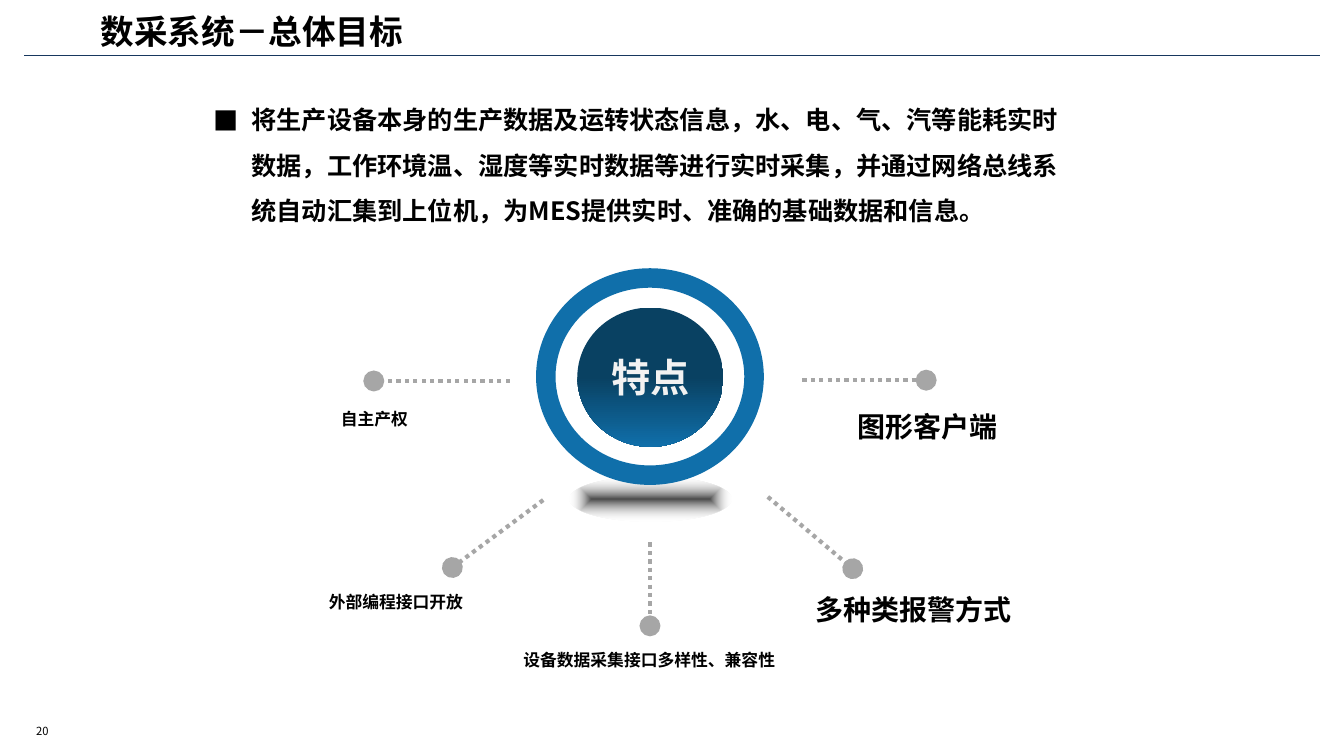
from lxml import etree
from pptx import Presentation
from pptx.dml.color import RGBColor
from pptx.enum.dml import MSO_LINE
from pptx.enum.shapes import MSO_CONNECTOR, MSO_SHAPE
from pptx.enum.text import MSO_ANCHOR, MSO_AUTO_SIZE, PP_ALIGN
from pptx.oxml.ns import qn
from pptx.util import Cm, Pt

STRAIGHT, DOTTED = MSO_CONNECTOR.STRAIGHT, MSO_LINE.ROUND_DOT
OVAL, DONUT = MSO_SHAPE.OVAL, MSO_SHAPE.DONUT
LEFT, CENTER = PP_ALIGN.LEFT, PP_ALIGN.CENTER
TOP, MIDDLE = MSO_ANCHOR.TOP, MSO_ANCHOR.MIDDLE
GROW, FIXED = MSO_AUTO_SIZE.SHAPE_TO_FIT_TEXT, MSO_AUTO_SIZE.NONE
NOTO, CALIBRI = "Noto Sans CJK SC", "Calibri"
COLORS = {"text": "000000", "rule": "17375E", "spoke": "A6A6A6", "ring": "106FAA",
          "core": "094162", "core_text": "F2F2F2", "glow": "FFFFFF"}


def write(box, text, size, font=NOTO, color="text", bold=True, align=LEFT,
          spacing=1.0, anchor=TOP, wrap=True, fit=GROW):
    frame = box.text_frame
    frame_format = {"word_wrap": wrap, "auto_size": fit, "vertical_anchor": anchor}
    for name, value in frame_format.items():
        setattr(frame, name, value)
    para = frame.paragraphs[0]
    para.alignment, para.line_spacing = align, spacing
    span = para.add_run()
    span.text = text
    for name, value in {"name": font, "size": Pt(size), "bold": bold}.items():
        setattr(span.font, name, value)
    span.font.color.rgb = RGBColor.from_string(COLORS[color])
    east_asian = etree.SubElement(span.font._element, qn("a:ea"))
    east_asian.set("typeface", font)
    return para


def draw_line(start, end, color, width):
    line = page.shapes.add_connector(STRAIGHT, *map(Cm, start + end))
    line.line.color.rgb = RGBColor.from_string(COLORS[color])
    line.line.width = Pt(width)
    etree.SubElement(line._element.spPr, qn("a:effectLst"))
    return line


deck = Presentation()
deck.slide_width, deck.slide_height = Cm(33.87), Cm(19.05)
page = deck.slides.add_slide(deck.slide_layouts[6])

# Title, rule and page number
draw_line((0.61, 1.4), (33.27, 1.4), "rule", 1)
title = page.shapes.add_textbox(Cm(2.29), Cm(0.15), Cm(18.21), Cm(1.28))
write(title, "数采系统－总体目标", 24)
number = page.shapes.add_textbox(Cm(0.66), Cm(18.11), Cm(2.39), Cm(0.6))
write(number, "20", 8, bold=False, anchor=MIDDLE)

# Goal statement with a square bullet
goal = page.shapes.add_textbox(Cm(5.13), Cm(2.13), Cm(21.92), Cm(2.95))
para = write(goal, "将生产设备本身的生产数据及运转状态信息，水、电、气、汽等能耗实时数据，"
             "工作环境温、湿度等实时数据等进行实时采集，并通过网络总线系统自动汇集到上位机，"
             "为MES提供实时、准确的基础数据和信息。", 18, spacing=1.5, fit=FIXED)
properties = para._p.get_or_add_pPr()
properties.set("marL", str(Cm(0.96)))
properties.set("indent", str(Cm(-0.96)))
etree.SubElement(properties, qn("a:buFont")).set("typeface", NOTO)
etree.SubElement(properties, qn("a:buChar")).set("char", "■")

# Features: spoke start, spoke end, label left/top/width, text, size, font
FEATURES = [
    ((13.69, 12.6), (11.4, 14.3), (7.16, 14.63, 5.64), "外部编程接口开放", 12, NOTO),
    ((16.38, 13.67), (16.38, 15.77), (11.3, 16.1, 10.13),
     "设备数据采集接口多样性、兼容性", 12, NOTO),
    ((19.35, 12.52), (21.49, 14.33), (20.27, 14.55, 5.51), "多种类报警方式", 20, CALIBRI),
    ((20.22, 9.58), (23.34, 9.58), (21.34, 9.93, 4.06), "图形客户端", 20, CALIBRI),
    ((12.85, 9.6), (9.42, 9.6), (7.9, 10.03, 3.07), "自主产权", 12, NOTO),
]
for start, end, place, text, size, font in FEATURES:
    spoke = draw_line(start, end, "spoke", 3)
    spoke.line.dash_style = DOTTED
    dot = etree.SubElement(spoke.line._get_or_add_ln(), qn("a:tailEnd"))
    for name, value in {"type": "oval", "w": "lg", "len": "lg"}.items():
        dot.set(name, value)
    label = page.shapes.add_textbox(*map(Cm, place + (1.24,)))
    write(label, text, size, font, align=CENTER, spacing=1.3, wrap=False)

# Hub: ground shadow, core and ring; stops are position, colour, opacity
HUB = {
    "shadow": (OVAL, (14.35, 12.01, 4.09, 1.12), [(0, "text", 70), (100, "glow", 0)]),
    "core": (OVAL, (14.55, 7.75, 3.68, 3.51),
             [(0, "core", 100), (50, "core", 100), (100, "ring", 100)]),
    "ring": (DONUT, (13.51, 6.76, 5.74, 5.46), []),
}
hub = {}
for part, (kind, place, stops) in HUB.items():
    shape = hub[part] = page.shapes.add_shape(kind, *map(Cm, place))
    shape.shadow.inherit = False
    shape.line.fill.background()
    if not stops:
        shape.fill.solid()
        shape.fill.fore_color.rgb = RGBColor.from_string(COLORS[part])
        continue
    shape.fill.gradient()
    gradient = shape._element.spPr.find(qn("a:gradFill"))
    for child in list(gradient):
        gradient.remove(child)
    stop_list = etree.SubElement(gradient, qn("a:gsLst"))
    for position, color, opacity in stops:
        stop = etree.SubElement(stop_list, qn("a:gs"), pos=str(position * 1000))
        tone = etree.SubElement(stop, qn("a:srgbClr"), val=COLORS[color])
        etree.SubElement(tone, qn("a:alpha"), val=str(opacity * 1000))
    if part == "shadow":
        spread = etree.SubElement(gradient, qn("a:path"))
        spread.set("path", "shape")
        center = etree.SubElement(spread, qn("a:fillToRect"))
        for side in "ltrb":
            center.set(side, "50000")
    else:
        etree.SubElement(gradient, qn("a:lin"), ang="5400000", scaled="0")

hub["ring"].adjustments[0] = 0.09
for side in ("left", "right", "top", "bottom"):
    setattr(hub["core"].text_frame, f"margin_{side}", 0)
write(hub["core"], "特点", 28, color="core_text", align=CENTER, anchor=MIDDLE, fit=FIXED)

deck.save("out.pptx")
